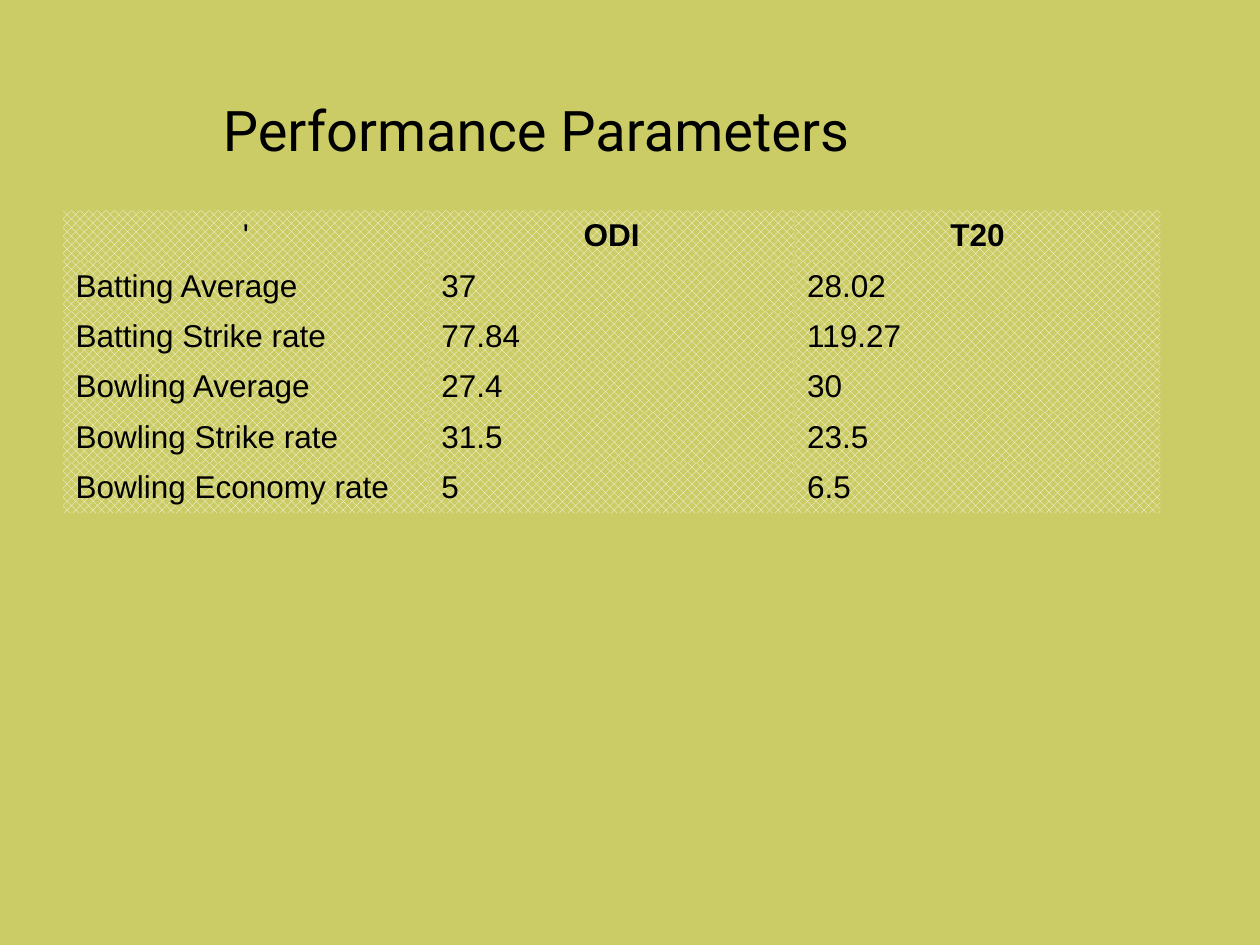
from pptx import Presentation
from pptx import util as u
from pptx.dml import color
from pptx.enum import dml, text

OLIVE, WHITE, BLACK = "CCCC66", "FFFFFF", "000000"
NO_STYLE_NO_GRID = "{2D5ABB26-0587-4C30-8999-92F81FD0307C}"
ROWS = [
    ("'", "ODI", "T20"),
    ("Batting Average", "37", "28.02"),
    ("Batting Strike rate", "77.84", "119.27"),
    ("Bowling Average", "27.4", "30"),
    ("Bowling Strike rate", "31.5", "23.5"),
    ("Bowling Economy rate", "5", "6.5"),
]


def set_color(target, value):
    """Colour a solid fill or font from a hex string."""
    target.rgb = color.RGBColor.from_string(value)


def add_run(paragraph, content, font, size, bold=False):
    """Add one black run to a paragraph."""
    run = paragraph.add_run()
    run.text = content
    run.font.name, run.font.size, run.font.bold = font, u.Pt(size), bold
    set_color(run.font.color, BLACK)


def add_title(slide, left, top, width, height):
    """Place the slide heading at the bottom of its box."""
    frame = slide.shapes.add_textbox(left, top, width, height).text_frame
    frame.word_wrap = True
    frame.vertical_anchor = text.MSO_ANCHOR.BOTTOM
    add_run(frame.paragraphs[0], "Performance Parameters", "Roboto", 32)


def fill_cell(cell, content, header, bold):
    """Give a cell its pattern and text."""
    cell.fill.patterned()
    cell.fill.pattern = dml.MSO_PATTERN.PERCENT_50
    set_color(cell.fill.fore_color, WHITE)
    set_color(cell.fill.back_color, OLIVE)
    cell.vertical_anchor = text.MSO_ANCHOR.MIDDLE
    paragraph = cell.text_frame.paragraphs[0]
    paragraph.alignment = text.PP_ALIGN.CENTER if header else text.PP_ALIGN.LEFT
    add_run(paragraph, content, "Arial", 18, bold)


def add_statistics(slide, left, top, width, height):
    """Place the statistics table with equal rows and columns."""
    frame = slide.shapes.add_table(len(ROWS), len(ROWS[0]), left, top, width, height)
    table = frame.table
    table.horz_banding = False
    table._tbl.tblPr[0].text = NO_STYLE_NO_GRID
    for i, row in enumerate(ROWS):
        for j, content in enumerate(row):
            fill_cell(table.cell(i, j), content, i == 0, i == 0 and j > 0)


presentation = Presentation()
presentation.slide_width, presentation.slide_height = u.Inches(10), u.Inches(7.5)
slide = presentation.slides.add_slide(presentation.slide_layouts[6])
slide.background.fill.solid()
set_color(slide.background.fill.fore_color, OLIVE)
add_title(slide, u.Inches(1.67), u.Inches(0.42), u.Inches(8), u.Inches(0.92))
add_statistics(slide, u.Inches(0.5), u.Inches(1.67), u.Inches(8.71), u.Inches(2.4))
presentation.save("out.pptx")
